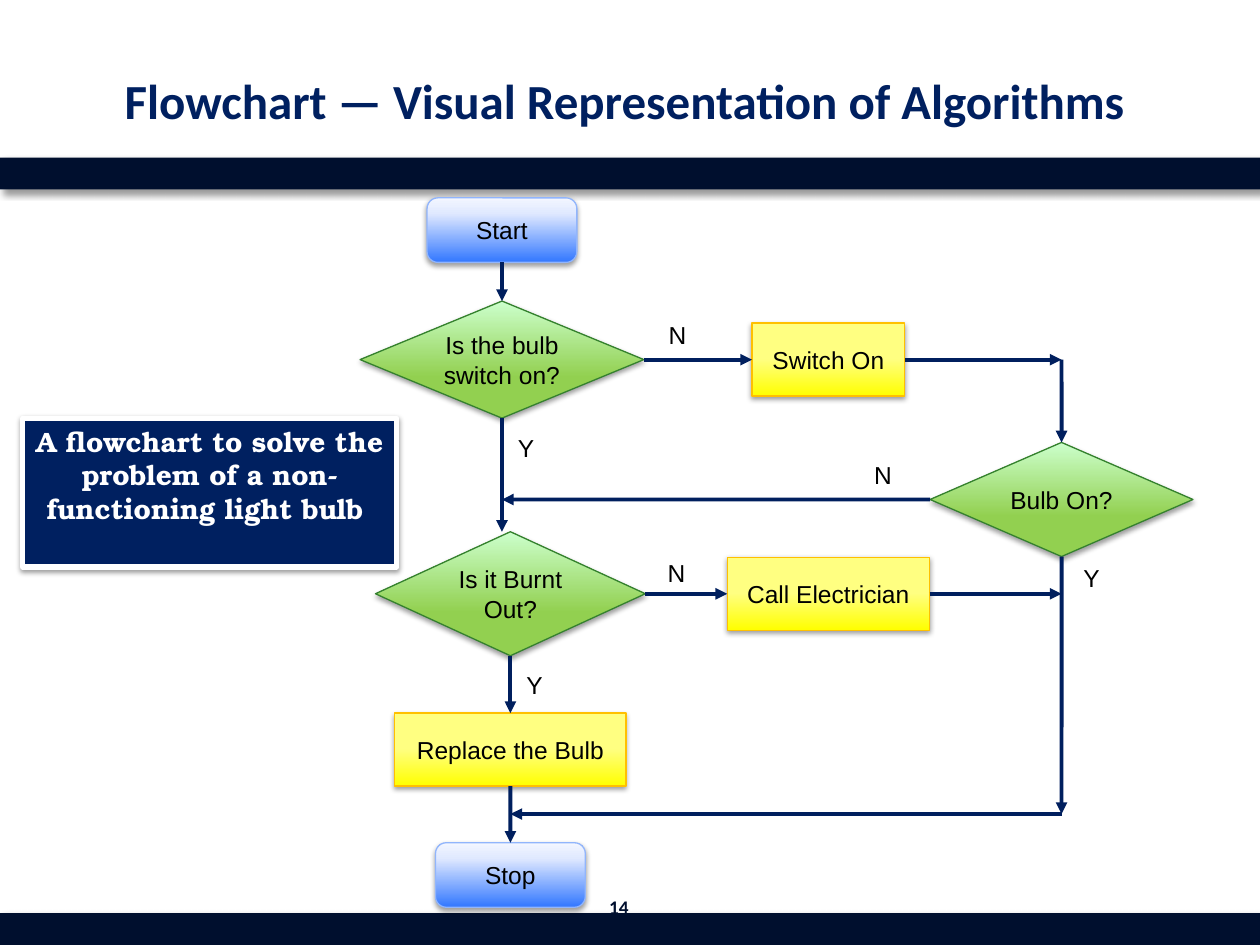
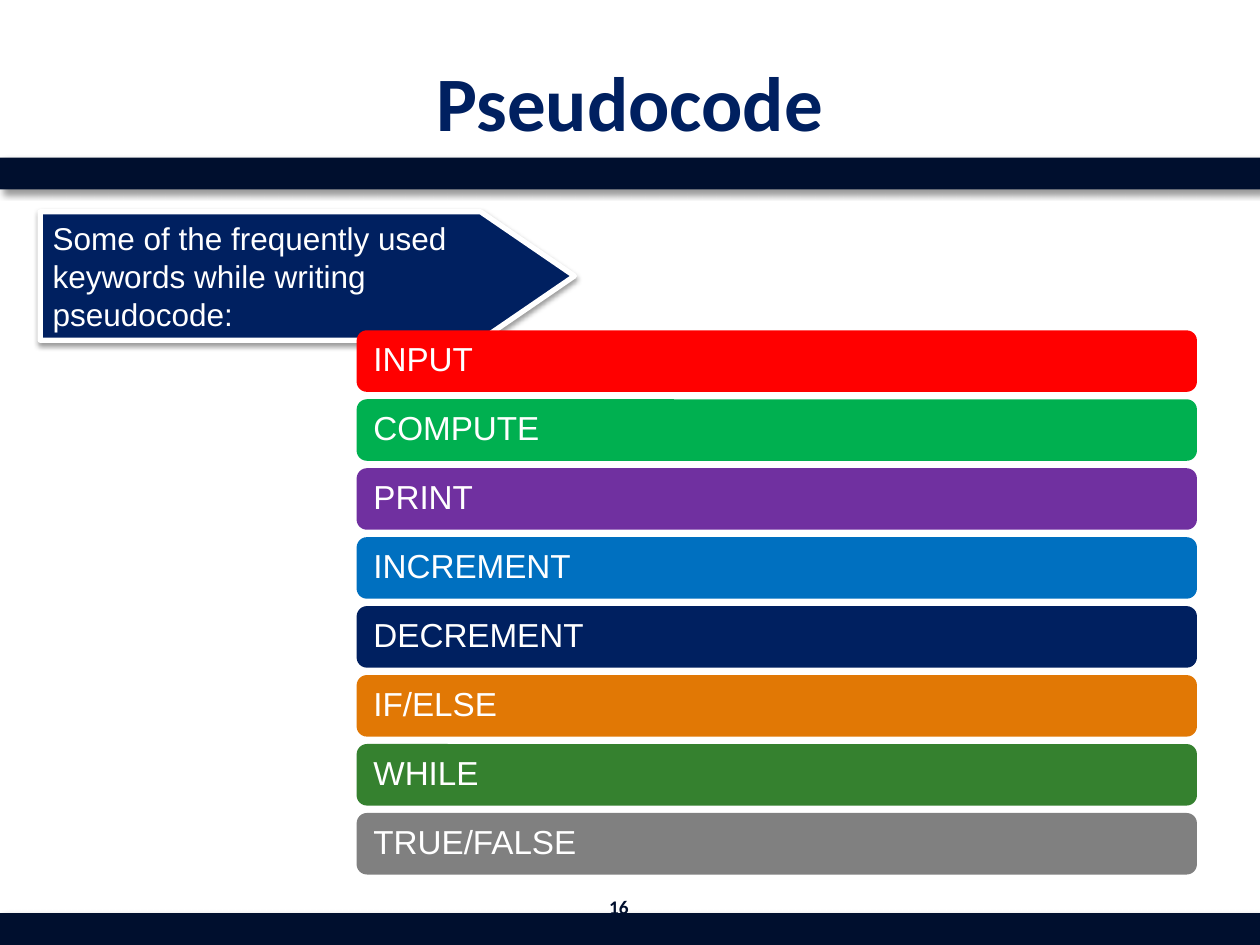
from copy import deepcopy
from dataclasses import dataclass

from lxml.etree import SubElement
from pptx import Presentation
from pptx.dml.color import RGBColor as RGB
from pptx.enum.shapes import MSO_CONNECTOR, MSO_SHAPE as SHAPE
from pptx.enum.text import MSO_ANCHOR as ANCHOR, MSO_AUTO_SIZE as AUTO, PP_ALIGN as ALIGN
from pptx.oxml.ns import qn
from pptx.util import Cm, Pt


@dataclass(frozen=True)
class Theme:
    navy: str = "002060"
    band: str = "000F2E"
    arrow: str = "001F5E"
    white: str = "FFFFFF"
    black: str = "000000"
    body_font: str = "Arial"
    title_font: str = "Calibri"
    callout_font: str = "TeX Gyre Bonum"
    number_size: int = 11
    flow_size: int = 14
    callout_size: int = 16
    lead_size: int = 18
    keyword_size: int = 19
    # blur, distance (pt), direction (degrees), opacity (%)
    band_shadow: tuple = (4, 3, 45, 40)
    soft_shadow: tuple = (3.1, 1.6, 90, 38)


T = Theme()


def write(sp, text, size=T.flow_size, color=T.black, font=T.body_font, bold=False,
          align=ALIGN.CENTER, anchor=ANCHOR.MIDDLE, wrap=True, spacing=None, left=0.25):
    tf = sp.text_frame
    tf.auto_size = AUTO.NONE
    tf.word_wrap = wrap
    tf.vertical_anchor = anchor
    tf.margin_left = Cm(left)
    p = tf.paragraphs[0]
    p.alignment = align
    p.line_spacing = spacing
    r = p.add_run()
    r.text = text
    r.font.size = Pt(size)
    r.font.name = font
    r.font.bold = bold
    r.font.color.rgb = RGB.from_string(color)


def draw(s, kind, box, fill, line=None, width=0.75, shadow=None):
    """Add a preset shape; fill is a colour or a list of upward gradient stops."""
    sp = s.shapes.add_shape(kind, *map(Cm, box))
    if isinstance(fill, str):
        sp.fill.solid()
        sp.fill.fore_color.rgb = RGB.from_string(fill)
    else:
        sp.fill.gradient()
        sp.fill.gradient_angle = 90
        stop_list = sp._element.spPr.find(".//" + qn("a:gsLst"))
        stop_list.append(deepcopy(stop_list[0]))
        for stop, (position, color) in zip(sp.fill.gradient_stops, fill):
            stop.position = position
            stop.color.rgb = RGB.from_string(color)
    if line:
        sp.line.color.rgb = RGB.from_string(line)
        sp.line.width = Pt(width)
    else:
        sp.line.fill.background()
    sp.shadow.inherit = False
    if shadow:
        blur, distance, angle, opacity = shadow
        effects = sp._element.spPr.find(qn("a:effectLst"))
        outer = SubElement(effects, qn("a:outerShdw"), blurRad=str(Pt(blur)),
                           dist=str(Pt(distance)), dir=str(angle * 60000),
                           algn="ctr", rotWithShape="0")
        tint = SubElement(outer, qn("a:srgbClr"), val=T.black)
        SubElement(tint, qn("a:alpha"), val=str(opacity * 1000))
    return sp


prs = Presentation()
prs.slide_width, prs.slide_height = Cm(25.4), Cm(19.05)
layout = prs.slide_layouts[5]

# Titles and page numbers
slides = []
for title, title_size, number in (
        ("Flowchart — Visual Representation of Algorithms ", 28, "14"),
        ("Pseudocode", 44, "16")):
    s = prs.slides.add_slide(layout)
    sp = s.shapes.title
    sp.left, sp.top, sp.width, sp.height = map(Cm, (1.27, 0.43, 22.86, 3.18))
    write(sp, title, size=title_size, color=T.navy, font=T.title_font, bold=True)
    sp = s.shapes.add_textbox(*map(Cm, (11.94, 17.78, 1.07, 1.02)))
    write(sp, number, size=T.number_size, color=T.band, font=T.title_font, bold=True)
    slides.append(s)
flow, pseudo = slides

# Bands are moved to the layout, behind its placeholders, so both slides share them
for top in (18.41, 3.18):
    band = draw(flow, SHAPE.RECTANGLE, (0, top, 25.4, 0.64), T.band, shadow=T.band_shadow)
    layout.shapes._spTree.insert(2, band._element)

# Flowchart
callout = draw(flow, SHAPE.RECTANGLE, (0.46, 8.43, 7.54, 3), T.navy,
               line=T.white, width=3, shadow=T.soft_shadow)
write(callout, "A flowchart to solve the problem of a non-functioning light bulb ",
      size=T.callout_size, color=T.white, font=T.callout_font, bold=True, anchor=ANCHOR.TOP)

styles = {
    "question": (SHAPE.DIAMOND, [(0, "92D050"), (0.35, "92D050"), (1, "CCFFCC")], "35812F"),
    "action": (SHAPE.RECTANGLE, [(0, "FFFF00"), (0.51, "FFFF81"), (1, "FFFF81")], "FFC000"),
    "terminal": (SHAPE.ROUNDED_RECTANGLE,
                 [(0, "3277FF"), (0.76, "E0E9FF"), (1, "F3F6FF")], "91B5FC"),
}
upper_x, lower_x, action_x, right_x = 10.12, 10.29, 16.7, 21.4
switch_y, bulb_y, burnt_y, merge_y = 7.25, 10.07, 11.97, 16.41

# name: style, text, centre x, centre y, width, height
steps = {
    "switched": ("question", "Is the bulb switch on?", upper_x, switch_y, 5.72, 2.36),
    "burnt": ("question", "Is it Burnt Out?", lower_x, burnt_y, 5.44, 2.5),
    "bulb on": ("question", "Bulb On?", right_x, bulb_y, 5.3, 2.3),
    "replace": ("action", "Replace the Bulb", lower_x, 15.11, 4.66, 1.47),
    "call": ("action", "Call Electrician", action_x, burnt_y, 4.08, 1.47),
    "switch": ("action", "Switch On", action_x, switch_y, 3.08, 1.47),
    "start": ("terminal", "Start", upper_x, 4.64, 3.02, 1.3),
    "stop": ("terminal", "Stop", lower_x, 17.64, 3.02, 1.3),
}
nodes = {}
for name, (style, text, x, y, w, h) in steps.items():
    kind, fill, line = styles[style]
    nodes[name] = draw(flow, kind, (x - w / 2, y - h / 2, w, h), fill,
                       line=line, shadow=T.soft_shadow)
    write(nodes[name], text)

# Each end is a node with a side, or a free point
TOP, LEFT, BOTTOM, RIGHT = range(4)
arrows = (
    (("start", BOTTOM), ("switched", TOP)),
    (("switched", BOTTOM), (upper_x, 10.72)),
    (("burnt", BOTTOM), ("replace", TOP)),
    (("replace", BOTTOM), ("stop", TOP)),
    (("switched", RIGHT), ("switch", LEFT)),
    (("switch", RIGHT), (right_x, switch_y)),
    ((right_x, switch_y), ("bulb on", TOP)),
    (("bulb on", BOTTOM), (right_x, merge_y)),
    (("call", RIGHT), (right_x, burnt_y)),
    (("burnt", RIGHT), ("call", LEFT)),
    (("bulb on", LEFT), (upper_x, bulb_y)),
    ((right_x, merge_y), (lower_x, merge_y)),
)
for begin, end in arrows:
    c = flow.shapes.add_connector(MSO_CONNECTOR.STRAIGHT, 0, 0, 0, 0)
    if begin[0] in nodes:
        c.begin_connect(nodes[begin[0]], begin[1])
    else:
        c.begin_x, c.begin_y = map(Cm, begin)
    if end[0] in nodes:
        c.end_connect(nodes[end[0]], end[1])
    else:
        c.end_x, c.end_y = map(Cm, end)
    c.line.color.rgb = RGB.from_string(T.arrow)
    c.line.width = Pt(2.25)
    SubElement(c.line._get_or_add_ln(), qn("a:tailEnd"), type="triangle")
    SubElement(c._element.spPr, qn("a:effectLst"))

for answer, x, y in (("Y", 10.19, 8.61), ("Y", 21.59, 11.23), ("Y", 10.36, 13.39),
                     ("N", 13.23, 6.32), ("N", 17.37, 9.14), ("N", 13.21, 11.13)):
    sp = flow.shapes.add_textbox(Cm(x), Cm(y), Cm(0.85), Cm(0.86))
    write(sp, answer, align=ALIGN.LEFT, anchor=ANCHOR.TOP, wrap=False)

# Pseudocode keywords
lead = draw(pseudo, SHAPE.PENTAGON, (0.81, 4.27, 10.77, 2.59), T.navy,
            line=T.white, width=3, shadow=T.soft_shadow)
lead.adjustments[0] = 0.73
write(lead, "Some of the frequently used keywords while writing pseudocode:",
      size=T.lead_size, color=T.white, align=ALIGN.LEFT)

keywords = (("INPUT", "FF0000"), ("COMPUTE", "00B050"), ("PRINT", "7030A0"),
            ("INCREMENT", "0070C0"), ("DECREMENT", T.navy), ("IF/ELSE", "E17805"),
            ("WHILE", "35812F"), ("TRUE/FALSE", "808080"))
for i, (keyword, color) in enumerate(keywords):
    bar = draw(pseudo, SHAPE.ROUNDED_RECTANGLE, (7.19, 6.66 + 1.39 * i, 16.94, 1.24), color)
    write(bar, keyword, size=T.keyword_size, color=T.white, align=ALIGN.LEFT,
          spacing=0.9, left=0.28)

prs.save("out.pptx")
